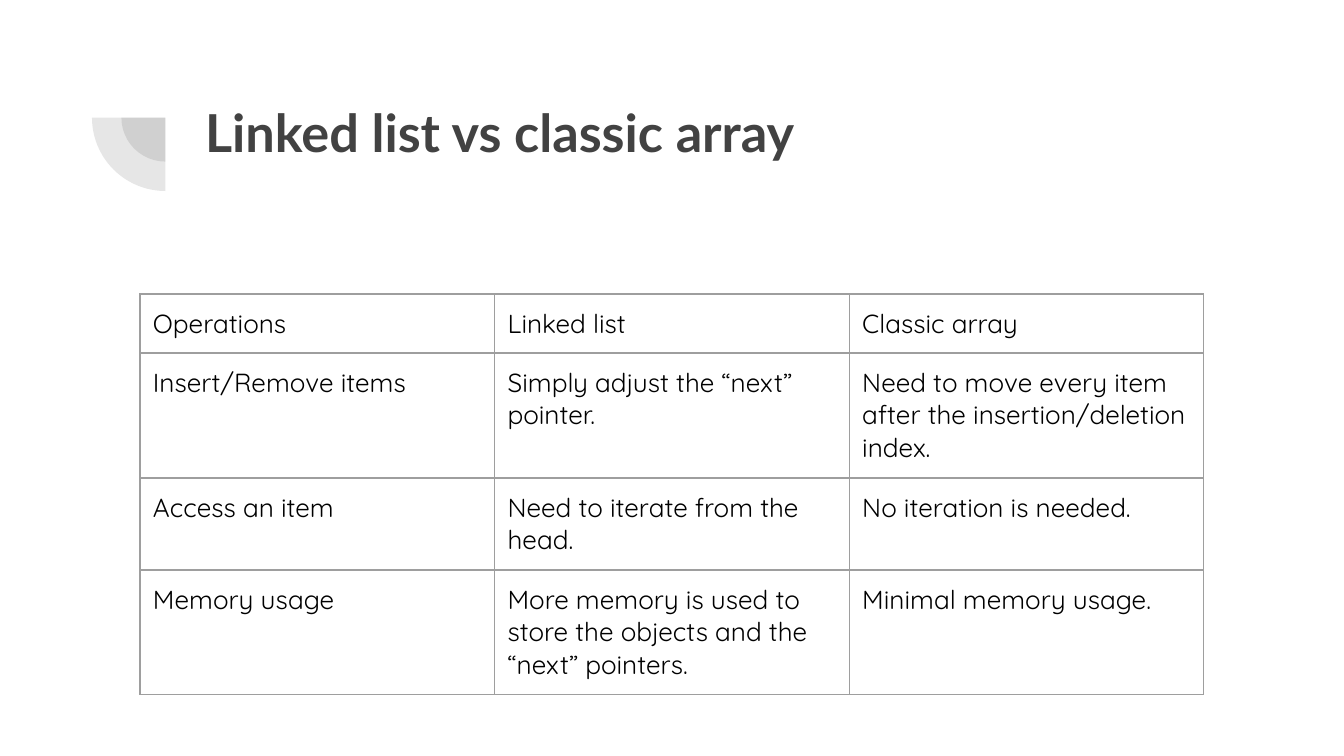
from lxml import etree
from pptx import Presentation
from pptx.dml.color import RGBColor
from pptx.enum.shapes import MSO_SHAPE
from pptx.oxml.ns import qn
from pptx.util import Pt

PIE = MSO_SHAPE.PIE
SCALE = 914400 / 134.4
PAD = 13
COLORS = {"ink": "424242", "text": "000000", "rule": "9E9E9E"}
ROWS = [
    ("Operations", "Linked list", "Classic array"),
    ("Insert/Remove items", "Simply adjust the “next” pointer.",
     "Need to move every item after the insertion/deletion index."),
    ("Access an item", "Need to iterate from the head.", "No iteration is needed."),
    ("Memory usage",
     "More memory is used to store the objects and the “next” pointers.",
     "Minimal memory usage."),
]
HEIGHTS = (59, 125, 92, 125)


def px(n):
    return round(n * SCALE)


def rgb(name):
    return RGBColor.from_string(COLORS[name])


def style(para, face, size, color, bold=False):
    font = para.font
    font.name, font.size, font.bold = face, Pt(size), bold
    font.color.rgb = rgb(color)


def pad(area):
    area.margin_left = area.margin_right = px(PAD)
    area.margin_top = area.margin_bottom = px(PAD)


def add_mark(slide, x, y, size):
    mid = size / 2
    for side in (size * 0.6, size):
        left, top = x + mid - side / 2, y + mid - side / 2
        pie = slide.shapes.add_shape(PIE, px(left), px(top), px(side), px(side))
        pie.adjustments[0], pie.adjustments[1] = 108, 162
        pie.rotation = 270
        pie.shadow.inherit = False
        pie.line.fill.background()
        pie.fill.solid()
        pie.fill.fore_color.rgb = rgb("ink")
        tint = pie.fill._xPr.find(".//" + qn("a:srgbClr"))
        etree.SubElement(tint, qn("a:alpha"), val="13000")


def add_title(slide, x, y, w, h):
    frame = slide.shapes.add_textbox(px(x), px(y), px(w), px(h)).text_frame
    frame.word_wrap = True
    pad(frame)
    para = frame.paragraphs[0]
    para.text = "Linked list vs classic array"
    style(para, "Lato", 28, "ink", True)


def add_rules(cell):
    props = cell._tc.get_or_add_tcPr()
    for i, side in enumerate("LRTB"):
        line = etree.Element(qn("a:ln" + side), w=str(Pt(0.75)))
        fill = etree.SubElement(line, qn("a:solidFill"))
        etree.SubElement(fill, qn("a:srgbClr"), val=COLORS["rule"])
        props.insert(i, line)


def add_grid(slide, x, y, w):
    cols = len(ROWS[0])
    frame = slide.shapes.add_table(
        len(ROWS), cols, px(x), px(y), px(w), px(sum(HEIGHTS)))
    table = frame.table
    table.first_row = table.horz_banding = False
    for col in table.columns:
        col.width = px(w / cols)
    for r, (row, high) in enumerate(zip(ROWS, HEIGHTS)):
        table.rows[r].height = px(high)
        for c, text in enumerate(row):
            cell = table.cell(r, c)
            cell.text = text
            pad(cell)
            cell.fill.background()
            add_rules(cell)
            style(cell.text_frame.paragraphs[0], "Quicksand", 14, "text")


def main():
    deck = Presentation()
    deck.slide_width, deck.slide_height = px(1344), px(756)
    slide = deck.slides.add_slide(deck.slide_layouts[6])
    add_mark(slide, 92, 44, 147)
    add_title(slide, 192, 87, 1034, 146)
    add_grid(slide, 140, 294, 1064)
    deck.save("out.pptx")


if __name__ == "__main__":
    main()
